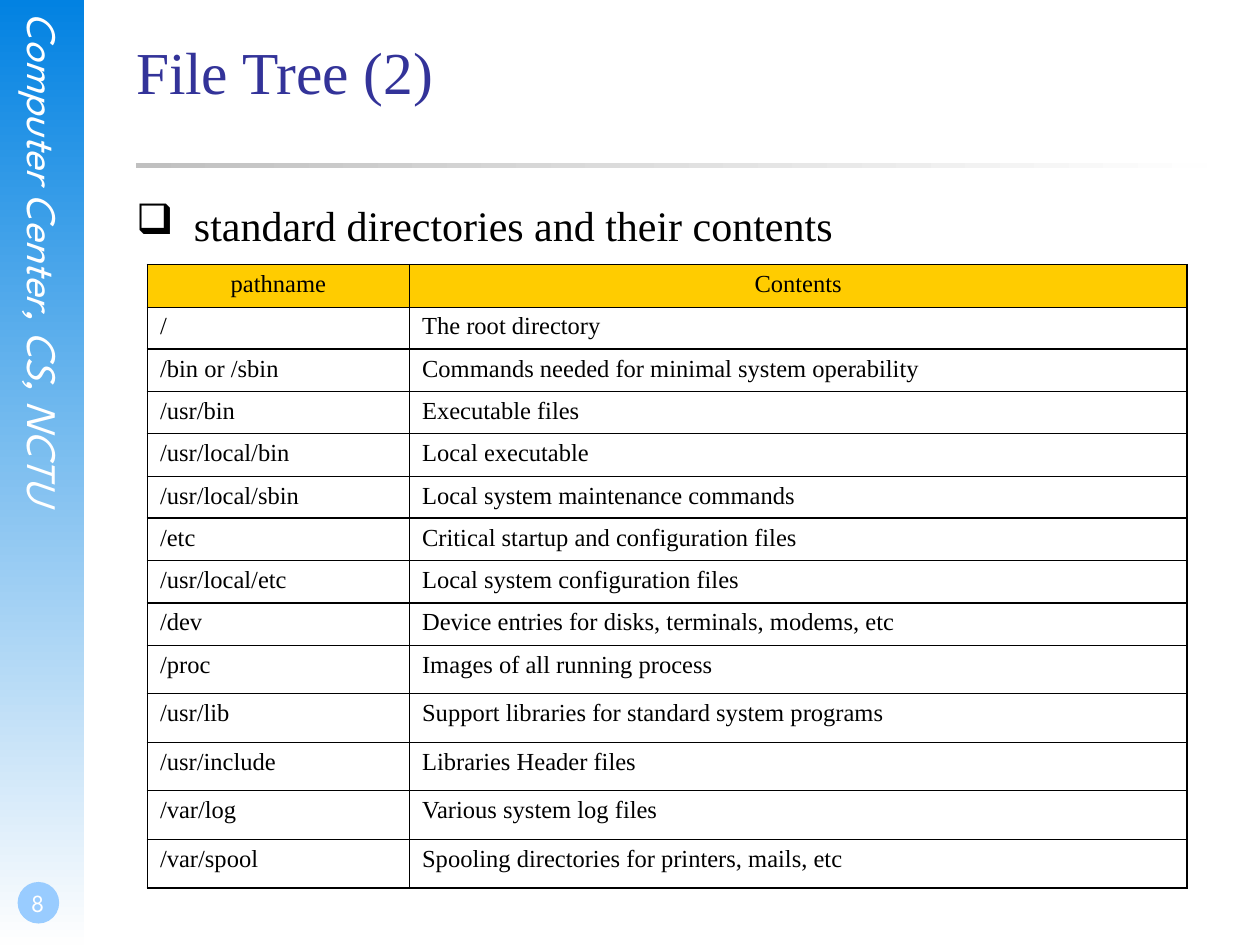
import pptx
import pptx.dml.color
import pptx.enum.shapes
import pptx.enum.text
import pptx.oxml
import pptx.oxml.ns
import pptx.util
from pptx.util import Inches

SERIF = "Times New Roman"
SANS = "League Spartan"
CENTER = pptx.enum.text.PP_ALIGN.CENTER
SHAPES = pptx.enum.shapes.MSO_SHAPE

THIN, OUTER, THICK = 0.45, 1.08, 1.47
GROUP_ENDS = (1, 5, 7)  # rows closed by a thick line
TALL_FROM = 9  # first of the taller rows

DIRECTORIES = [
    ("pathname", "Contents"),
    ("/", "The root directory"),
    ("/bin or /sbin", "Commands needed for minimal system operability"),
    ("/usr/bin", "Executable files"),
    ("/usr/local/bin", "Local executable"),
    ("/usr/local/sbin", "Local system maintenance commands"),
    ("/etc", "Critical startup and configuration files"),
    ("/usr/local/etc", "Local system configuration files"),
    ("/dev", "Device entries for disks, terminals, modems, etc"),
    ("/proc", "Images of all running process"),
    ("/usr/lib", "Support libraries for standard system programs"),
    ("/usr/include", "Libraries Header files"),
    ("/var/log", "Various system log files"),
    ("/var/spool", "Spooling directories for printers, mails, etc"),
]


def color(hex_string):
    return pptx.dml.color.RGBColor.from_string(hex_string)


def add_element(parent, tag, **attributes):
    element = pptx.oxml.parse_xml(f"<a:{tag} {pptx.oxml.ns.nsdecls('a')}/>")
    for name, value in attributes.items():
        element.set(name, str(value))
    parent.append(element)
    return element


def write(frame, text, size, font=SERIF, fill="000000", italic=False,
          align=None, bullet=None, indent=0):
    para = frame.paragraphs[0]
    if bullet:
        properties = para._p.get_or_add_pPr()
        properties.set("marL", str(indent))
        properties.set("indent", str(-indent))
        add_element(properties, "buChar", char=bullet)
    para.alignment = align
    span = para.add_run()
    span.text = text
    span.font.size = pptx.util.Pt(size)
    span.font.name = font
    span.font.italic = italic
    span.font.color.rgb = color(fill)


def add_text(page, box, text, size, **text_format):
    """Add a wrapping text box without margins and return its frame."""
    frame = page.shapes.add_textbox(*box).text_frame
    frame.word_wrap = True
    frame.margin_left = frame.margin_right = 0
    frame.margin_top = frame.margin_bottom = 0
    write(frame, text, size, **text_format)
    return frame


def add_plain_shape(page, preset, box):
    shape = page.shapes.add_shape(preset, *box)
    shape.shadow.inherit = False
    shape.line.fill.background()
    return shape


def add_gradient_bar(page, box, start, end, angle):
    """Add a two-colour rectangle; the angle runs counter-clockwise."""
    fill = add_plain_shape(page, SHAPES.RECTANGLE, box).fill
    fill.gradient()
    fill.gradient_angle = angle
    for stop, hex_string in zip(fill.gradient_stops, (start, end)):
        stop.color.rgb = color(hex_string)


def add_sidebar(page, left, top, width, height):
    add_gradient_bar(page, (left, top, width, height), "0282E2", "FEFEFE", 270)
    label_box = (left + Inches(0.15), top + Inches(0.1), Inches(0.4), Inches(5.11))
    label = add_text(page, label_box, "Computer Center, CS, NCTU", 24,
                     font=SANS, fill="FFFFFF", italic=True, align=CENTER)
    label._txBody.bodyPr.set("vert", "eaVert")

    bottom = top + height
    diameter = Inches(0.33)
    disc = add_plain_shape(page, SHAPES.OVAL,
                           (left + Inches(0.14), bottom - Inches(0.5), diameter, diameter))
    disc.fill.solid()
    disc.fill.fore_color.rgb = color("99CCFF")
    number_box = (left, bottom - Inches(0.67), Inches(0.58), Inches(0.5))
    number = add_text(page, number_box, "8", 14, font=SANS, fill="FFFFFF", align=CENTER)
    number.vertical_anchor = pptx.enum.text.MSO_ANCHOR.BOTTOM
    number.margin_left = Inches(0.02)
    number.margin_bottom = Inches(0.05)


def add_heading(page, left, top, width, height):
    add_gradient_bar(page, (left, top + Inches(1.01), width, Inches(0.04)),
                     "FEFEFE", "C0C0C0", 180)
    add_text(page, (left, top, width, height), "File Tree (2)", 34, fill="333399")


def set_borders(cell, **widths):
    properties = cell._tc.get_or_add_tcPr()
    for side in "LRTB":
        line = add_element(properties, f"ln{side}", w=pptx.util.Pt(widths[side]))
        add_element(add_element(line, "solidFill"), "srgbClr", val="000000")


def add_directory_table(page, left, top, width, height):
    last = len(DIRECTORIES) - 1
    table = page.shapes.add_table(last + 1, 2, left, top, width, height).table
    table.first_row = table.horz_banding = False
    table.columns[0].width = Inches(2.08)
    table.columns[1].width = width - Inches(2.08)
    short_part = Inches(3.02)
    short_height = short_part // TALL_FROM
    tall_height = (height - short_part) // (last + 1 - TALL_FROM)

    # One width per horizontal line, from the top edge to the bottom edge
    rules = [OUTER]
    rules += [THICK if row in GROUP_ENDS else THIN for row in range(last)]
    rules.append(OUTER)

    for row, texts in enumerate(DIRECTORIES):
        table.rows[row].height = short_height if row < TALL_FROM else tall_height
        for column, text in enumerate(texts):
            cell = table.cell(row, column)
            write(cell.text_frame, text, 14, align=CENTER if row == 0 else None)
            set_borders(cell, L=THIN if column else OUTER, R=OUTER if column else THIN,
                        T=rules[row], B=rules[row + 1])
            if row == 0:
                cell.fill.solid()
                cell.fill.fore_color.rgb = color("FFCC00")
            else:
                cell.fill.background()


def main():
    deck = pptx.Presentation()
    deck.slide_width, deck.slide_height = Inches(10), Inches(7.5)
    page = deck.slides.add_slide(deck.slide_layouts[6])
    content_left, content_width = Inches(1.08), Inches(8.5)

    add_sidebar(page, 0, 0, Inches(0.67), deck.slide_height)
    add_heading(page, content_left, Inches(0.28), content_width, Inches(1.25))
    add_text(page, (content_left, Inches(1.58), content_width, Inches(5.08)),
             "standard directories and their contents", 24,
             bullet="❑", indent=Inches(0.46))
    add_directory_table(page, Inches(1.17), Inches(2.1), Inches(8.25), Inches(4.95))
    deck.save("out.pptx")


if __name__ == "__main__":
    main()
